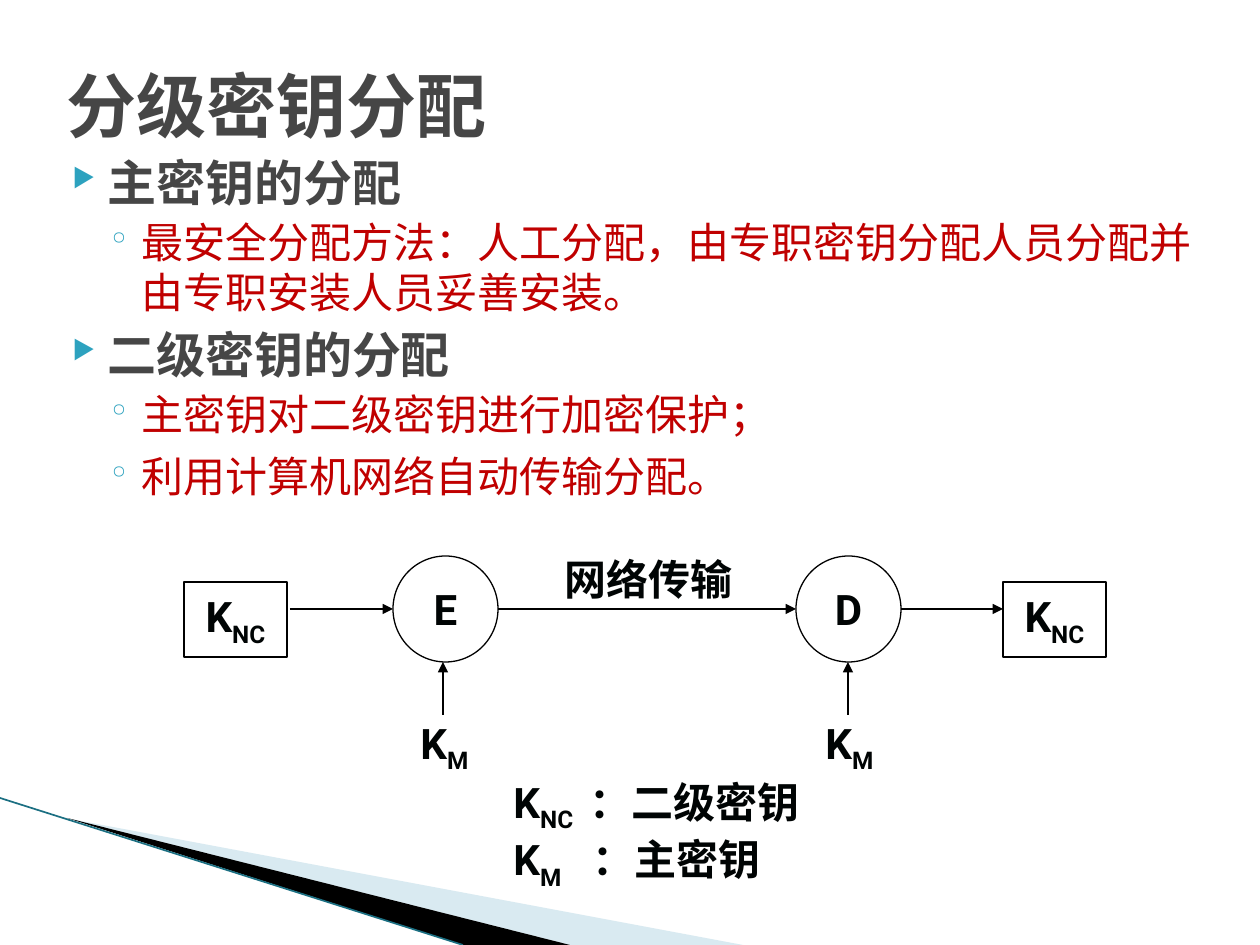
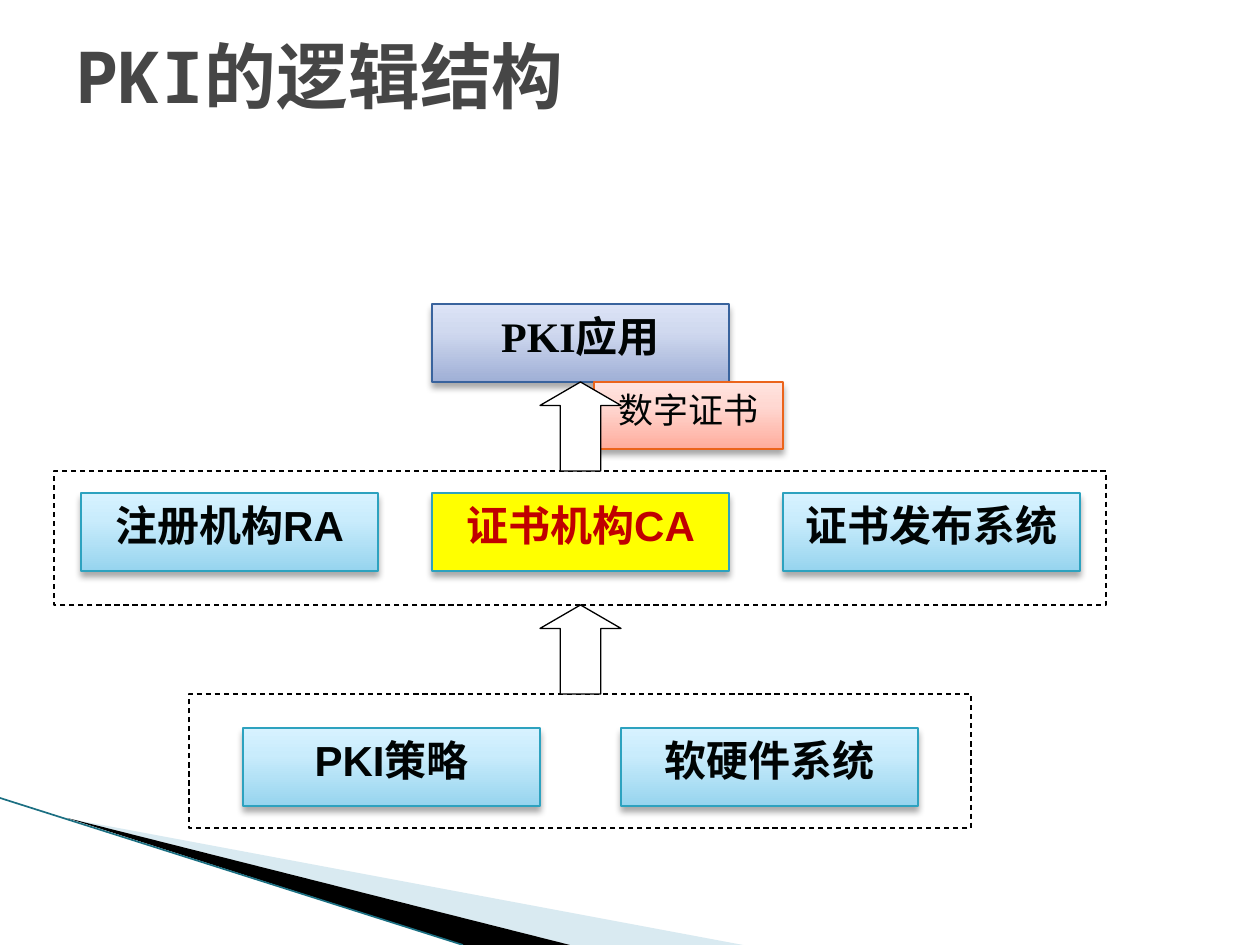
from lxml import etree
from pptx import Presentation
from pptx import util as u
from pptx.dml.color import RGBColor
from pptx.enum import dml, shapes, text
from pptx.oxml import parse_xml
from pptx.oxml.ns import nsdecls, qn

PX = 914400 / 126
WHITE = RGBColor(0xFF, 0xFF, 0xFF)
BLACK = RGBColor(0, 0, 0)
INK = RGBColor(0x00, 0x04, 0x04)
GREY = RGBColor(0x46, 0x46, 0x46)
RED = RGBColor(0xC0, 0x00, 0x00)
YELLOW = RGBColor(0xFF, 0xFF, 0x00)
TEAL = RGBColor(0x2D, 0xA2, 0xBF)
DARK_TEAL = RGBColor(0x1B, 0x6F, 0x82)
PALE_BLUE = RGBColor(0xA0, 0xCB, 0xDC)
NAVY = RGBColor(0x39, 0x63, 0x9D)
ORANGE = RGBColor(0xEB, 0x64, 0x1B)
BLUE_FADE = ("96D4EE", "C9ECFC", "D7F2FF")
LILAC_FADE = ("9FAFD6", "D0D9EF", "DCE3F6")
CORAL_FADE = ("FFAC9C", "FFD8D2", "FFE4DF")
HEAD_FONT = "Noto Sans Mono"
DIAGRAM_FONT = "Roboto"
CENTER = text.PP_ALIGN.CENTER


def px(*lengths):
    return [u.Emu(round(n * PX)) for n in lengths]


def style(run, size, font, color, bold=True):
    run.font.size = u.Pt(size)
    run.font.name = font
    run.font.bold = bold
    run.font.color.rgb = color


def add_box(slide, kind, box, line, fill=None, dashed=False):
    shape = slide.shapes.add_shape(kind, *px(*box))
    shape.shadow.inherit = False
    if fill is None:
        shape.fill.background()
    else:
        shape.fill.solid()
        shape.fill.fore_color.rgb = fill
    shape.line.color.rgb = line
    shape.line.width = u.Pt(0.75)
    if dashed:
        shape.line.dash_style = dml.MSO_LINE.DASH
    return shape


def add_line(slide, start, end, color, width):
    line = slide.shapes.add_connector(shapes.MSO_CONNECTOR.STRAIGHT, *px(*start, *end))
    line.line.color.rgb = color
    line.line.width = u.Pt(width)
    etree.SubElement(line.element.spPr, qn("a:effectLst"))
    return line


def add_arrow(slide, start, end):
    arrow = add_line(slide, start, end, BLACK, 0.75)
    etree.SubElement(arrow.line._get_or_add_ln(), qn("a:tailEnd"), type="triangle")


def add_bands(slide, layout):
    bands = []
    for corners, color, opacity in (
        (((70, 819), (743, 945), (570, 945)), PALE_BLUE, 40),
        (((67, 818), (570, 945), (463, 945)), BLACK, 100),
    ):
        outline = slide.shapes.build_freeform(*corners[0], scale=PX)
        outline.add_line_segments(corners[1:], close=True)
        band = outline.convert_to_shape()
        band.shadow.inherit = False
        band.fill.solid()
        band.fill.fore_color.rgb = color
        if opacity < 100:
            tint = band.element.spPr.find(qn("a:solidFill"))[0]
            etree.SubElement(tint, qn("a:alpha"), val=str(opacity * 1000))
        band.line.fill.background()
        bands.append(band)
    bands.append(add_line(slide, (0, 798), (463, 945), DARK_TEAL, 0.95))
    for number, band in enumerate(bands, 101):
        band.element.xpath(".//p:cNvPr")[0].set("id", str(number))
        layout.shapes.element.append(band.element)


def set_title(slide, wording, box, size):
    title = slide.shapes.title
    title.left, title.top, title.width, title.height = px(*box)
    frame = title.text_frame
    frame.text = wording
    frame.vertical_anchor = text.MSO_ANCHOR.MIDDLE
    frame.paragraphs[0].alignment = text.PP_ALIGN.LEFT
    style(frame.paragraphs[0].runs[0], size, HEAD_FONT, GREY)


def add_bullet(paragraph, mark, left, hanging, percent):
    props = paragraph._p.get_or_add_pPr()
    margin, indent = px(left, -hanging)
    props.set("marL", str(margin))
    props.set("indent", str(indent))
    color = etree.SubElement(props, qn("a:buClr"))
    etree.SubElement(color, qn("a:srgbClr"), val=str(TEAL))
    etree.SubElement(props, qn("a:buSzPct"), val=str(percent * 1000))
    etree.SubElement(props, qn("a:buChar"), char=mark)


def add_outline(slide, box, items):
    frame = slide.shapes.add_textbox(*px(*box)).text_frame
    frame.word_wrap = True
    for index, (level, wording, before) in enumerate(items):
        paragraph = frame.paragraphs[0] if index == 0 else frame.add_paragraph()
        paragraph.text = wording
        paragraph.level = level
        paragraph.space_before = u.Pt(before)
        if level == 0:
            add_bullet(paragraph, "▶", 51, 35, 53)
            style(paragraph.runs[0], 28, HEAD_FONT, GREY)
        else:
            add_bullet(paragraph, "◦", 85, 34, 70)
            style(paragraph.runs[0], 24, HEAD_FONT, RED, bold=False)


def write_symbol(paragraph, base, sub="", rest=""):
    for wording, lowered in ((base, False), (sub, True), (rest, False)):
        if wording:
            run = paragraph.add_run()
            run.text = wording
            style(run, 24, DIAGRAM_FONT, INK)
            if lowered:
                run.font._element.set("baseline", "-25000")


def label(shape, base, sub="", wrap=False):
    frame = shape.text_frame
    frame.word_wrap = wrap
    frame.vertical_anchor = text.MSO_ANCHOR.MIDDLE
    frame.paragraphs[0].alignment = CENTER
    write_symbol(frame.paragraphs[0], base, sub)


def add_key_flow(slide, left, top):
    wire = top + 68
    for x in (0, 819):
        key = add_box(slide, shapes.MSO_SHAPE.RECTANGLE, (left + x, top + 41, 103, 75), BLACK)
        label(key, "K", "NC")
    for x, operation, key_x in ((209, "E", 259), (612, "D", 664)):
        circle = add_box(slide, shapes.MSO_SHAPE.OVAL, (left + x, top + 15, 105, 106), BLACK)
        label(circle, operation, wrap=True)
        middle = left + key_x
        add_arrow(slide, (middle, top + 174), (middle, top + 121))
        master_key = slide.shapes.add_textbox(*px(middle - 42, top + 161, 87, 88))
        label(master_key, "K", "M")
    for start, end in ((106, 209), (314, 612), (717, 819)):
        add_arrow(slide, (left + start, wire), (left + end, wire))
    network = slide.shapes.add_textbox(*px(left + 360, top + 1, 210, 74))
    label(network, "网络传输", wrap=True)


def add_legend(slide, box, entries):
    frame = slide.shapes.add_textbox(*px(*box)).text_frame
    frame.word_wrap = True
    for index, (sub, meaning, tab) in enumerate(entries):
        paragraph = frame.paragraphs[0] if index == 0 else frame.add_paragraph()
        tabs = etree.SubElement(paragraph._p.get_or_add_pPr(), qn("a:tabLst"))
        etree.SubElement(tabs, qn("a:tab"), pos=str(px(tab)[0]), algn="l")
        write_symbol(paragraph, "K", sub, "\t：" + meaning)


def add_shadow(shape):
    effects = shape.element.spPr.find(qn("a:effectLst"))
    effects.append(parse_xml(
        f'<a:outerShdw {nsdecls("a")} blurRad="50800" dist="38100" dir="5400000" rotWithShape="0">'
        '<a:srgbClr val="000000"><a:alpha val="35000"/></a:srgbClr></a:outerShdw>'))


def add_fade(shape, colors):
    stops = "".join(
        f'<a:gs pos="{place * 1000}"><a:srgbClr val="{color}"/></a:gs>'
        for place, color in zip((0, 65, 100), colors))
    fade = parse_xml(
        f'<a:gradFill {nsdecls("a")} rotWithShape="1"><a:gsLst>{stops}</a:gsLst>'
        '<a:lin ang="16200000" scaled="0"/></a:gradFill>')
    props = shape.element.spPr
    props.replace(props.find(qn("a:solidFill")), fade)


def add_component(slide, wording, box, fade=BLUE_FADE, line=TEAL, font="Arial",
                  size=24, color=INK, bold=True):
    component = add_box(slide, shapes.MSO_SHAPE.RECTANGLE, box, line, YELLOW)
    if fade:
        add_fade(component, fade)
    add_shadow(component)
    frame = component.text_frame
    frame.text = wording
    frame.word_wrap = True
    frame.vertical_anchor = text.MSO_ANCHOR.TOP
    frame.paragraphs[0].alignment = CENTER
    style(frame.paragraphs[0].runs[0], size, font, color, bold)


def add_layer(slide, box, inset, top, pitch, components):
    add_box(slide, shapes.MSO_SHAPE.RECTANGLE, box, BLACK, WHITE, dashed=True)
    for index, (wording, options) in enumerate(components):
        place = (box[0] + inset + index * pitch, box[1] + top, 297, 78)
        add_component(slide, wording, place, **options)


def add_pki_structure(slide, left, top):
    add_layer(slide, (left + 135, top + 391, 782, 134), 54, 34, 378,
              (("PKI策略", {}), ("软硬件系统", {})))
    add_layer(slide, (left, top + 168, 1052, 134), 27, 22, 351,
              (("注册机构RA", {}),
               ("证书机构CA", {"fade": None, "color": RED}),
               ("证书发布系统", {})))
    add_component(slide, "PKI应用", (left + 378, top + 1, 297, 78),
                  LILAC_FADE, NAVY, "Times New Roman")
    add_component(slide, "数字证书", (left + 540, top + 79, 189, 67),
                  CORAL_FADE, ORANGE, "Times New Roman", 20, bold=False)
    for y in (79, 302):
        arrow = add_box(slide, shapes.MSO_SHAPE.UP_ARROW, (left + 486, top + y, 81, 89), BLACK, WHITE)
        arrow.adjustments[0] = 0.5
        arrow.adjustments[1] = 0.29


def build_key_slide(slide):
    set_title(slide, "分级密钥分配", (54, 26, 1177, 158), 40)
    add_outline(slide, (44, 146, 1177, 377), (
        (0, "主密钥的分配", 0),
        (1, "最安全分配方法：人工分配，由专职密钥分配人员分配并由专职安装人员妥善安装。", 3.2),
        (0, "二级密钥的分配", 4),
        (1, "主密钥对二级密钥进行加密保护；", 3.2),
        (1, "利用计算机网络自动传输分配。", 6.5),
    ))
    add_key_flow(slide, 184, 541)
    add_legend(slide, (501, 770, 348, 115), (("NC", "二级密钥", 76), ("M", "主密钥", 79)))


def build_pki_slide(slide):
    set_title(slide, "PKI的逻辑结构", (63, -4, 1134, 158), 41)
    add_pki_structure(slide, 54, 303)


def main():
    deck = Presentation()
    deck.slide_width, deck.slide_height = px(1260, 945)
    title_only = deck.slide_layouts[5]
    key_slide = deck.slides.add_slide(title_only)
    add_bands(key_slide, title_only)
    build_key_slide(key_slide)
    build_pki_slide(deck.slides.add_slide(title_only))
    deck.save("out.pptx")


if __name__ == "__main__":
    main()
